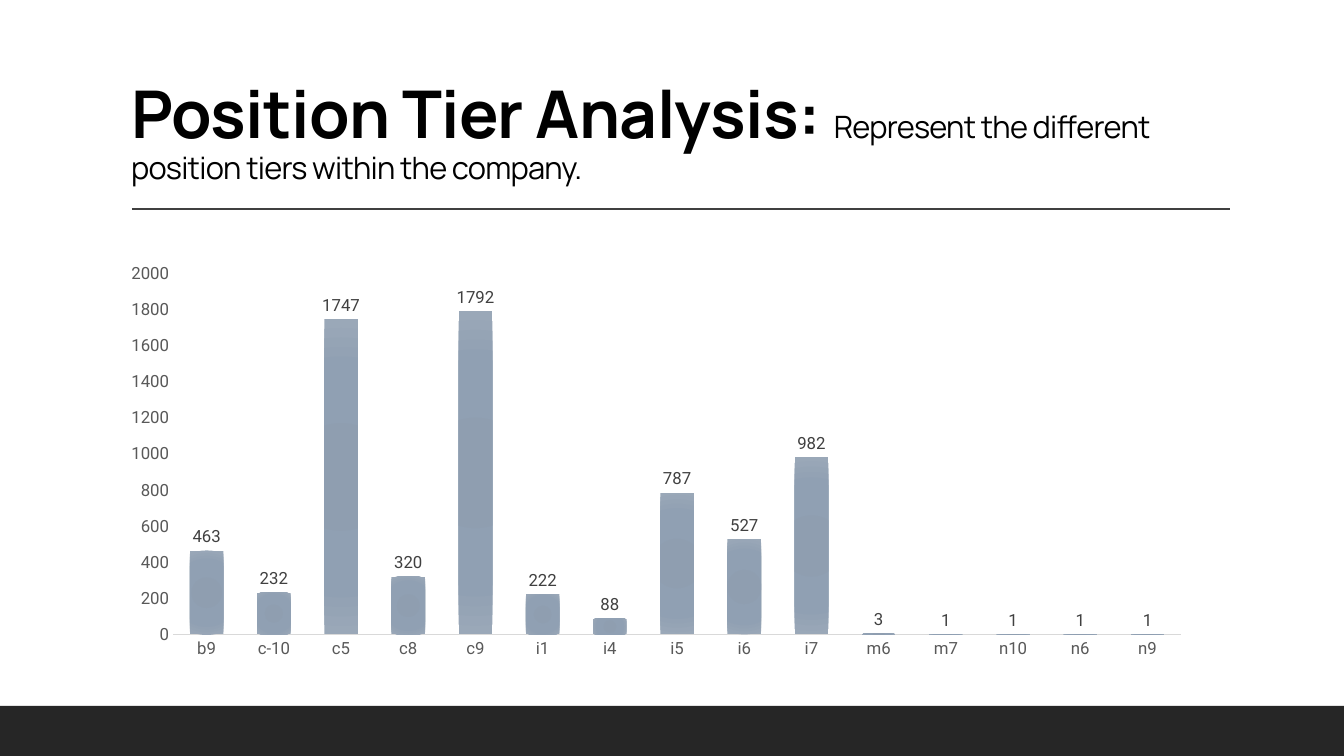
from lxml import etree
from pptx import Presentation
from pptx.chart.data import CategoryChartData
from pptx.dml.color import RGBColor
from pptx.enum.chart import XL_CHART_TYPE, XL_LABEL_POSITION, XL_TICK_MARK
from pptx.enum.shapes import MSO_CONNECTOR, MSO_SHAPE
from pptx.enum.text import MSO_ANCHOR, MSO_AUTO_SIZE, PP_ALIGN
from pptx.oxml import parse_xml
from pptx.oxml.ns import nsdecls, qn
from pptx.util import Emu, Pt

BLACK = RGBColor(0x00, 0x00, 0x00)
WHITE = RGBColor(0xFF, 0xFF, 0xFF)
FOOTER = RGBColor(0x26, 0x26, 0x26)
RULE = RGBColor(0x40, 0x40, 0x40)
AXIS_TEXT = RGBColor(0x59, 0x59, 0x59)
AXIS_LINE = RGBColor(0xD9, 0xD9, 0xD9)
BAR_STOPS = [
    (0, RGBColor(0x8D, 0x9C, 0xAE)),
    (34, RGBColor(0x8F, 0x9E, 0xB0)),
    (70, RGBColor(0x90, 0xA0, 0xB3)),
    (100, RGBColor(0x9A, 0xA8, 0xB8)),
]
TIERS = {
    "b9": 463, "c-10": 232, "c5": 1747, "c8": 320, "c9": 1792,
    "i1": 222, "i4": 88, "i5": 787, "i6": 527, "i7": 982,
    "m6": 3, "m7": 1, "n10": 1, "n6": 1, "n9": 1,
}
PLOT_AREA = {"x": 0.047, "y": 0.089, "w": 0.909, "h": 0.786}


def px(*lengths):
    return [Emu(round(length * 914400 / 100.8)) for length in lengths]


def set_font(font, name, size, color):
    font.name = name
    font.size = Pt(size)
    font.color.rgb = color


deck = Presentation()
deck.slide_width, deck.slide_height = px(1344, 756)
page = deck.slides.add_slide(deck.slide_layouts[5])
page.background.fill.solid()
page.background.fill.fore_color.rgb = WHITE

footer = page.shapes.add_shape(MSO_SHAPE.RECTANGLE, *px(0, 706, 1344, 50))
footer.shadow.inherit = False
footer.fill.solid()
footer.fill.fore_color.rgb = FOOTER
footer.line.fill.background()

rule = page.shapes.add_connector(MSO_CONNECTOR.STRAIGHT, *px(132, 209, 1230, 209))
rule.line.color.rgb = RULE
rule.line.width = Pt(1)
etree.SubElement(rule._element.spPr, qn("a:effectLst"))

title = page.shapes.title
title.left, title.top, title.width, title.height = px(121, 31, 1109, 160)
frame = title.text_frame
frame.word_wrap = True
frame.auto_size = MSO_AUTO_SIZE.NONE
frame.vertical_anchor = MSO_ANCHOR.BOTTOM
para = frame.paragraphs[0]
para.alignment = PP_ALIGN.LEFT
para.line_spacing = 0.9
for text, size, bold in [
    ("Position Tier Analysis: ", 47, True),
    ("Represent the different position tiers within the company.", 22, False),
]:
    span = para.add_run()
    span.text = text
    set_font(span.font, "Manrope", size, BLACK)
    span.font.bold = bold
    span.font._element.set("spc", "-50")

tier_data = CategoryChartData()
tier_data.categories = list(TIERS)
tier_data.add_series("Series 1", list(TIERS.values()))
chart = page.shapes.add_chart(
    XL_CHART_TYPE.COLUMN_CLUSTERED, *px(121, 233, 1109, 459), tier_data
).chart
set_font(chart.font, "Roboto", 10, BLACK)
chart.has_title = False
chart.has_legend = False

for axis in (chart.category_axis, chart.value_axis):
    axis.has_major_gridlines = False
    axis.major_tick_mark = XL_TICK_MARK.NONE
    axis.minor_tick_mark = XL_TICK_MARK.NONE
    set_font(axis.tick_labels.font, "Roboto", 12, AXIS_TEXT)
chart.category_axis.format.line.color.rgb = AXIS_LINE
chart.category_axis.format.line.width = Pt(1)
chart.value_axis.format.line.fill.background()
chart.value_axis.minimum_scale = 0
chart.value_axis.maximum_scale = 2000
chart.value_axis.major_unit = 200

plot = chart.plots[0]
plot.gap_width = 100
plot.overlap = -24
plot.vary_by_categories = False
plot.has_data_labels = True
labels = plot.data_labels
labels.show_value = True
labels.position = XL_LABEL_POSITION.OUTSIDE_END
set_font(labels.font, "Roboto", 12, RULE)

bars = plot.series[0]
bars.invert_if_negative = False
stops = "".join(
    f'<a:gs pos="{position * 1000}"><a:srgbClr val="{color}"/></a:gs>'
    for position, color in BAR_STOPS
)
gradient = parse_xml(
    f'<a:gradFill {nsdecls("a")} rotWithShape="1"><a:gsLst>{stops}</a:gsLst>'
    '<a:path path="circle"><a:fillToRect l="100000" t="100000" r="100000" b="100000"/>'
    "</a:path></a:gradFill>"
)
bars.format.line.fill.background()
bars._element.spPr.insert(0, gradient)

plot_area = chart._chartSpace.chart.plotArea
for old_layout in plot_area.findall(qn("c:layout")):
    plot_area.remove(old_layout)
modes = '<c:layoutTarget val="inner"/><c:xMode val="edge"/><c:yMode val="edge"/>'
sizes = "".join(f'<c:{key} val="{value}"/>' for key, value in PLOT_AREA.items())
plot_area.insert(0, parse_xml(
    f'<c:layout {nsdecls("c")}><c:manualLayout>{modes}{sizes}</c:manualLayout></c:layout>'
))

deck.save("out.pptx")
